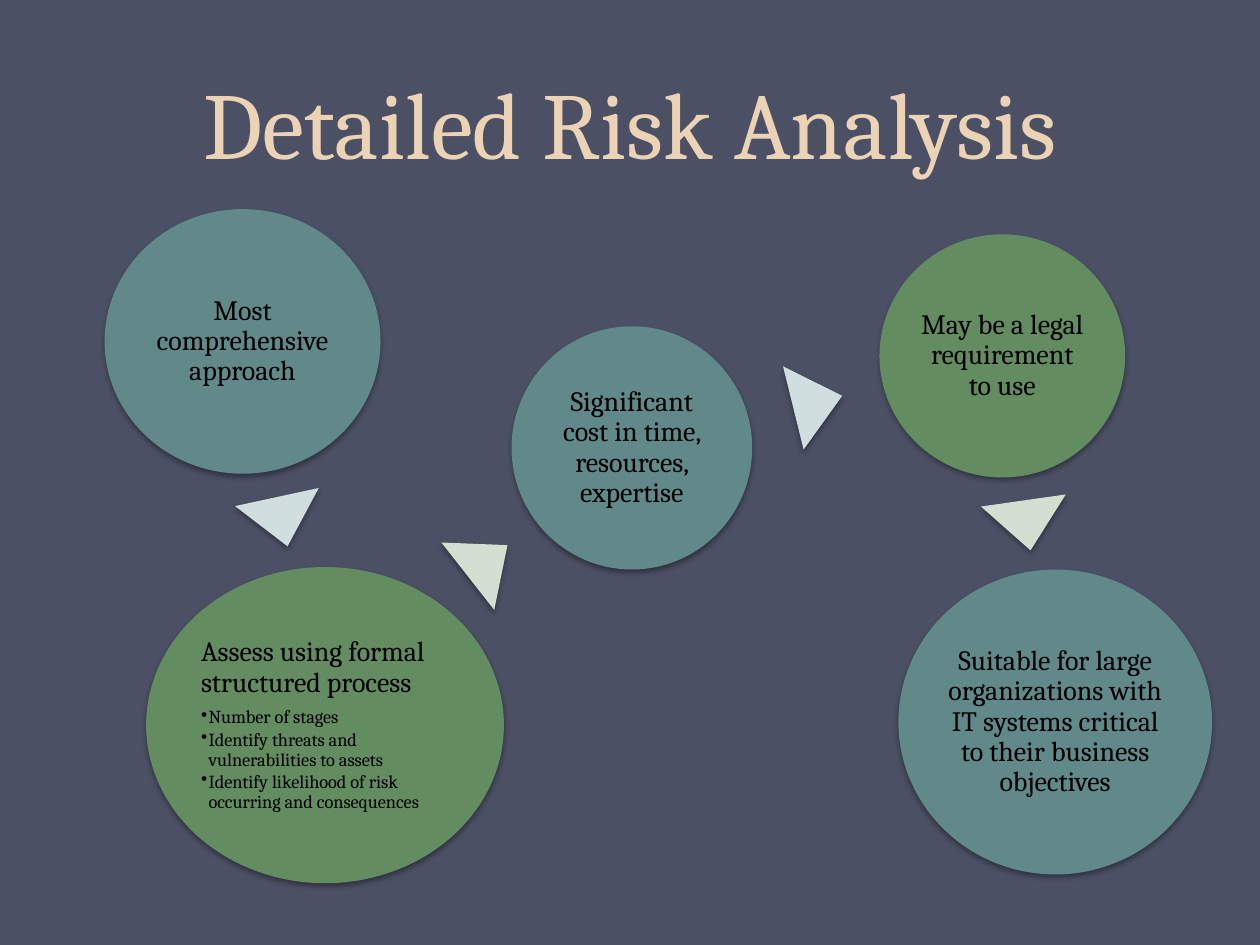
from dataclasses import dataclass

from lxml import etree
from pptx import Presentation
from pptx.dml.color import RGBColor
from pptx.enum.shapes import MSO_SHAPE as Shape
from pptx.enum.text import MSO_ANCHOR as Anchor, MSO_AUTO_SIZE as AutoSize, PP_ALIGN as Align
from pptx.oxml.ns import qn
from pptx.util import Inches, Pt


@dataclass(frozen=True)
class Theme:
    font: str = "Cambria"
    background: str = "4B5064"
    title: str = "EDD3B6"
    text: str = "000000"
    shadow: str = "000000"
    teal: str = "61898A"
    green: str = "648C61"
    pale_teal: str = "D1DEDF"
    pale_green: str = "D2DFD1"
    title_size: float = 54
    title_leading: float = 58
    body_size: float = 16
    bullet_size: float = 10.5


THEME = Theme()
ARROW_SIZE = (0.68, 0.4)

# Ideas in reading order: box, text, bullets
IDEAS = [
    ((0.83, 1.66, 2.19, 2.1), "Most comprehensive approach", []),
    ((1.16, 4.5, 2.84, 2.51), "Assess using formal structured process", [
        "Number of stages",
        "Identify threats and vulnerabilities to assets",
        "Identify likelihood of risk occurring and consequences",
    ]),
    ((4.06, 2.59, 1.91, 1.93), "Significant cost in time, resources, expertise", []),
    ((6.98, 1.86, 1.95, 1.93), "May be a legal requirement to use", []),
    ((7.13, 4.52, 2.49, 2.42),
     "Suitable for large organizations with IT systems critical to "
     "their business objectives", []),
]

# Arrows between successive ideas: left, top, rotation
ARROWS = [
    (1.9, 3.94, 167.8),
    (3.53, 4.25, 51.9),
    (6.15, 2.99, 76.1),
    (7.81, 3.97, 171.9),
]


def rgb(value):
    return RGBColor.from_string(value)


def style_font(font, size, color):
    for name, value in {"name": THEME.font, "size": Pt(size)}.items():
        setattr(font, name, value)
    font.color.rgb = rgb(color)


def add_shadow(shape):
    shape.shadow.inherit = False
    effects = shape._element.spPr.find(qn("a:effectLst"))
    outer = etree.SubElement(effects, qn("a:outerShdw"), {
        "blurRad": str(Pt(3.1)), "dist": str(Pt(1.8)),
        "dir": "5400000", "rotWithShape": "0"})
    color = etree.SubElement(outer, qn("a:srgbClr"), val=THEME.shadow)
    etree.SubElement(color, qn("a:alpha"), val="35000")


def add_solid(slide, kind, box, fill):
    shape = slide.shapes.add_shape(kind, *map(Inches, box))
    shape.fill.solid()
    shape.fill.fore_color.rgb = rgb(fill)
    shape.line.fill.background()
    add_shadow(shape)
    return shape


def add_bullet(paragraph):
    indent = Inches(0.06)
    properties = paragraph._p.get_or_add_pPr()
    properties.set("marL", str(indent))
    properties.set("indent", str(-indent))
    etree.SubElement(properties, qn("a:buChar"), char="•")


def write_title(slide, box, text):
    title = slide.shapes.title
    for side, value in zip(("left", "top", "width", "height"), box):
        setattr(title, side, Inches(value))
    frame = title.text_frame
    frame.text = text
    frame.auto_size = AutoSize.NONE
    frame.vertical_anchor = Anchor.BOTTOM
    heading = frame.paragraphs[0]
    heading.alignment = Align.CENTER
    heading.line_spacing = Pt(THEME.title_leading)
    style_font(heading.font, THEME.title_size, THEME.title)


def add_idea(slide, box, text, bullets, fill):
    frame = add_solid(slide, Shape.OVAL, box, fill).text_frame
    frame.word_wrap = True
    frame.vertical_anchor = Anchor.MIDDLE
    for side in ("left", "top", "right", "bottom"):
        setattr(frame, f"margin_{side}", Inches(0.02))

    # Main statement
    statement = frame.paragraphs[0]
    statement.text = text
    statement.alignment = Align.LEFT if bullets else Align.CENTER
    statement.line_spacing = 0.9
    if bullets:
        statement.space_after = Pt(5.6)
    style_font(statement.font, THEME.body_size, THEME.text)

    # Supporting points
    for point in bullets:
        paragraph = frame.add_paragraph()
        paragraph.text = point
        paragraph.level = 1
        paragraph.alignment = Align.LEFT
        paragraph.line_spacing = 0.9
        paragraph.space_after = Pt(1.5)
        add_bullet(paragraph)
        style_font(paragraph.font, THEME.bullet_size, THEME.text)


def add_arrow(slide, left, top, rotation, fill):
    arrow = add_solid(slide, Shape.ISOSCELES_TRIANGLE, (left, top, *ARROW_SIZE), fill)
    arrow.rotation = rotation


def add_idea_path(slide):
    circle_fills = (THEME.teal, THEME.green)
    arrow_fills = (THEME.pale_teal, THEME.pale_green)
    for index, idea in enumerate(IDEAS):
        add_idea(slide, *idea, circle_fills[index % 2])
        if index < len(ARROWS):
            add_arrow(slide, *ARROWS[index], arrow_fills[index % 2])


def main():
    deck = Presentation()
    deck.slide_width, deck.slide_height = Inches(10), Inches(7.5)
    slide = deck.slides.add_slide(deck.slide_layouts.get_by_name("Title Only"))
    slide.background.fill.solid()
    slide.background.fill.fore_color.rgb = rgb(THEME.background)
    write_title(slide, (0.5, 0, 9, 1.47), "Detailed Risk Analysis")
    add_idea_path(slide)
    deck.save("out.pptx")


if __name__ == "__main__":
    main()
